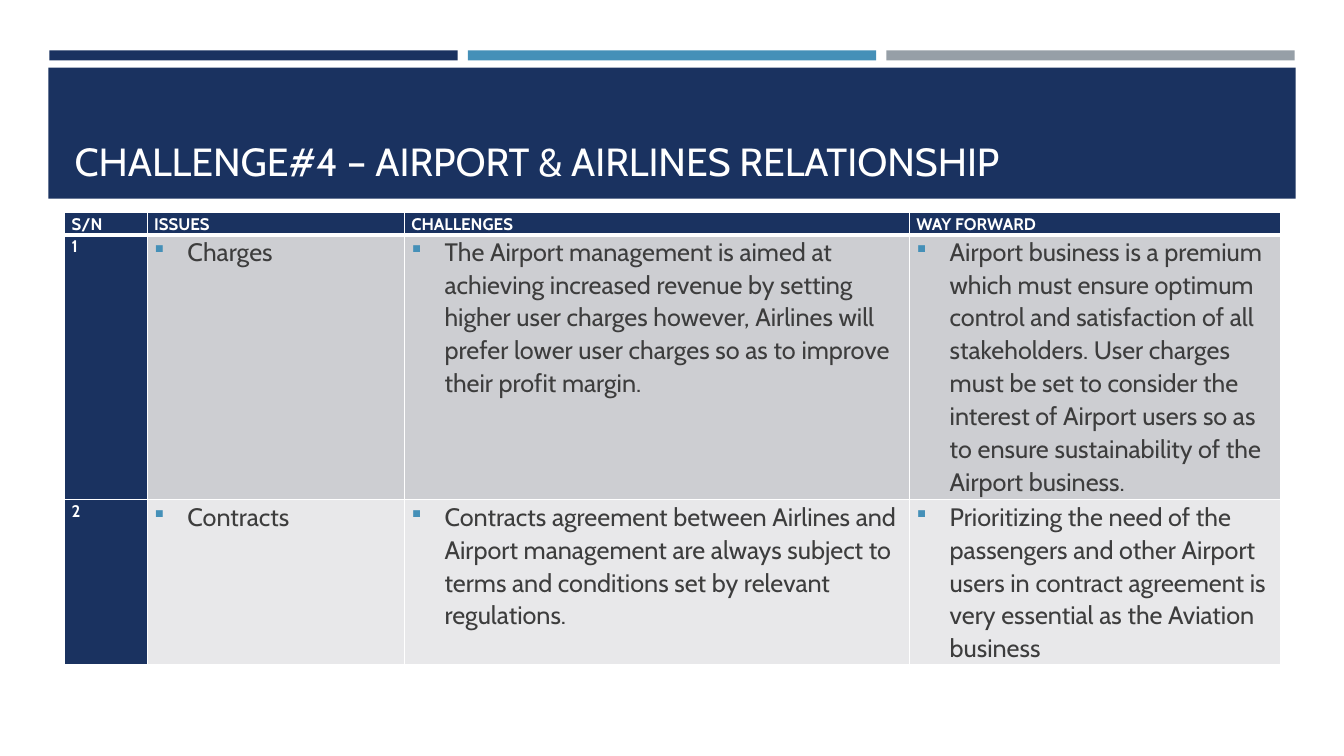
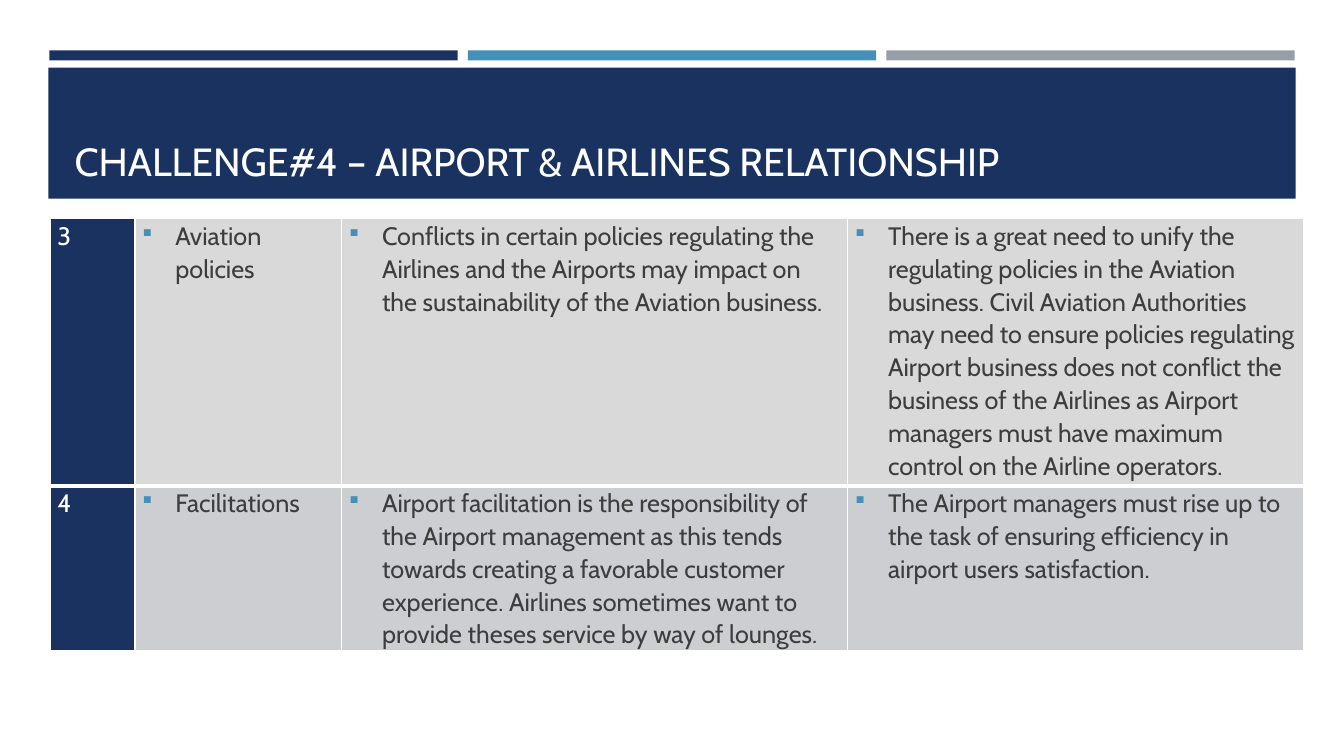
from lxml.etree import SubElement
from pptx import Presentation
from pptx.dml.color import RGBColor
from pptx.enum.shapes import MSO_SHAPE
from pptx.enum.text import MSO_ANCHOR, MSO_AUTO_SIZE, PP_ALIGN
from pptx.oxml.ns import qn
from pptx.util import Inches, Pt

NAVY = RGBColor(0x1A, 0x32, 0x60)
BLUE = RGBColor(0x45, 0x90, 0xB8)
STEEL = RGBColor(0x96, 0x9F, 0xA7)
WHITE = RGBColor(0xFF, 0xFF, 0xFF)
INK = RGBColor(0x3D, 0x3D, 0x3D)
GREY = RGBColor(0xCD, 0xCE, 0xD2)
PALE = RGBColor(0xE8, 0xE8, 0xEA)
SILVER = RGBColor(0xD9, 0xD9, 0xD9)
FONT = "Cabin"
TITLE = "CHALLENGE#4 – AIRPORT & AIRLINES RELATIONSHIP"

HEADER = ["S/N", "ISSUES", "CHALLENGES", "WAY FORWARD"]
CHARGES = [
    "1",
    "Charges",
    "The Airport management is aimed at achieving increased revenue by setting "
    "higher user charges however, Airlines will prefer lower user charges so as "
    "to improve their profit margin.",
    "Airport business is a premium which must ensure optimum control and "
    "satisfaction of all stakeholders. User charges must be set to consider the "
    "interest of Airport users so as to ensure sustainability of the Airport "
    "business.",
]
CONTRACTS = [
    "2",
    "Contracts",
    "Contracts agreement between Airlines and Airport management are always "
    "subject to terms and conditions set by relevant regulations.",
    "Prioritizing the need of the passengers and other Airport users in contract "
    "agreement is very essential as the Aviation business",
]
POLICIES = [
    "3",
    "Aviation policies",
    "Conflicts in certain policies regulating the Airlines and the Airports may "
    "impact on the sustainability of the Aviation business.",
    "There is a great need to unify the regulating policies in the Aviation "
    "business. Civil Aviation Authorities may need to ensure policies regulating "
    "Airport business does not conflict the business of the Airlines as Airport "
    "managers must have maximum control on the Airline operators.",
]
FACILITATIONS = [
    "4",
    "Facilitations",
    "Airport facilitation is the responsibility of the Airport management as this "
    "tends towards creating a favorable customer experience. Airlines sometimes "
    "want to provide theses service by way of lounges.",
    "The Airport managers must rise up to the task of ensuring efficiency in "
    "airport users satisfaction.",
]


def add_band(slide, layout, left, top, width, height, color):
    """Draw a plain rectangle and hand it over to the shared layout."""
    band = slide.shapes.add_shape(
        MSO_SHAPE.RECTANGLE, Inches(left), Inches(top), Inches(width), Inches(height)
    )
    band.shadow.inherit = False
    band.fill.solid()
    band.fill.fore_color.rgb = color
    band.line.fill.background()
    layout.shapes.element.append(band.element)


def prepare_layout(slide):
    """Give the slide's layout its stripes and title band."""
    layout = slide.slide_layout
    for placeholder in list(layout.placeholders)[1:]:
        layout.shapes.element.remove(placeholder.element)
    for index, color in enumerate((NAVY, BLUE, STEEL)):
        add_band(slide, layout, 0.49 + 4.15 * index, 0.5, 4.05, 0.1, color)
    add_band(slide, layout, 0.48, 0.67, 12.37, 1.3, NAVY)


def style_run(run, size, color, bold):
    """Apply the deck font to a run."""
    run.font.name = FONT
    run.font.size = Pt(size)
    run.font.color.rgb = color
    run.font.bold = bold


def set_title(slide):
    """Place and format the title placeholder."""
    title = slide.shapes.title
    title.left, title.top = Inches(0.64), Inches(0.77)
    title.width, title.height = Inches(12.06), Inches(1.11)
    frame = title.text_frame
    frame.text = TITLE
    frame.auto_size = MSO_AUTO_SIZE.NONE
    frame.vertical_anchor = MSO_ANCHOR.BOTTOM
    paragraph = frame.paragraphs[0]
    paragraph.alignment = PP_ALIGN.LEFT
    style_run(paragraph.runs[0], 28, WHITE, False)


def add_bullet(paragraph):
    """Give a paragraph a hanging blue square bullet."""
    properties = paragraph._p.get_or_add_pPr()
    indent = Inches(0.33)
    properties.set("marL", str(indent))
    properties.set("indent", str(-indent))
    color = SubElement(properties, qn("a:buClr"))
    SubElement(color, qn("a:srgbClr"), val=str(BLUE))
    SubElement(properties, qn("a:buSzPct"), val="92000")
    SubElement(properties, qn("a:buFont"), typeface="Wingdings")
    SubElement(properties, qn("a:buChar"), char="§")


def set_borders(cell, bottom):
    """Draw white cell borders, with the bottom width in points."""
    properties = cell._tc.get_or_add_tcPr()
    for side, width in (("L", 1), ("R", 1), ("T", 1), ("B", bottom)):
        line = SubElement(properties, qn(f"a:ln{side}"), w=str(Pt(width)))
        fill = SubElement(line, qn("a:solidFill"))
        SubElement(fill, qn("a:srgbClr"), val=str(WHITE))


def fill_cell(cell, text, color, bottom, label_size, bulleted):
    """Write one cell as a bulleted entry or a white label."""
    cell.margin_left = cell.margin_right = Inches(0.07)
    cell.margin_top = cell.margin_bottom = 0
    set_borders(cell, bottom)
    cell.fill.solid()
    cell.fill.fore_color.rgb = color
    cell.text_frame.text = text
    paragraph = cell.text_frame.paragraphs[0]
    paragraph.line_spacing = 1.07
    if bulleted:
        paragraph.space_after = Pt(6)
        add_bullet(paragraph)
        style_run(paragraph.runs[0], 18, INK, False)
    else:
        paragraph.space_after = Pt(8)
        paragraph.alignment = PP_ALIGN.JUSTIFY
        style_run(paragraph.runs[0], label_size, WHITE, label_size < 18)


def add_issue_table(slide, left, top, widths, heights, rows, colors, label_size):
    """Add a table of issues with a navy label column."""
    table = slide.shapes.add_table(
        len(rows), len(widths), Inches(left), Inches(top),
        Inches(sum(widths)), Inches(sum(heights)),
    ).table
    table.first_row = table.horz_banding = False
    for column, width in zip(table.columns, widths):
        column.width = Inches(width)
    for row_index, (texts, height, color) in enumerate(zip(rows, heights, colors)):
        table.rows[row_index].height = Inches(height)
        bottom = 3 if row_index == 0 else 1
        for column_index, text in enumerate(texts):
            fill = color if column_index else NAVY
            cell = table.cell(row_index, column_index)
            fill_cell(cell, text, fill, bottom, label_size, fill != NAVY)


def main():
    """Build and save the presentation."""
    presentation = Presentation()
    presentation.slide_width, presentation.slide_height = Inches(13.33), Inches(7.5)
    layout = presentation.slide_layouts[5]
    first, second = (presentation.slides.add_slide(layout) for _ in range(2))
    prepare_layout(first)
    for slide in (first, second):
        set_title(slide)
    add_issue_table(
        first, 0.64, 2.11, (0.82, 2.55, 5.01, 3.68), (0.21, 2.63, 1.61),
        (HEADER, CHARGES, CONTRACTS), (NAVY, GREY, PALE), 12,
    )
    add_issue_table(
        second, 0.5, 2.17, (0.84, 2.05, 5.02, 4.52), (2.65, 1.58),
        (POLICIES, FACILITATIONS), (SILVER, GREY), 18,
    )
    presentation.save("out.pptx")


if __name__ == "__main__":
    main()
